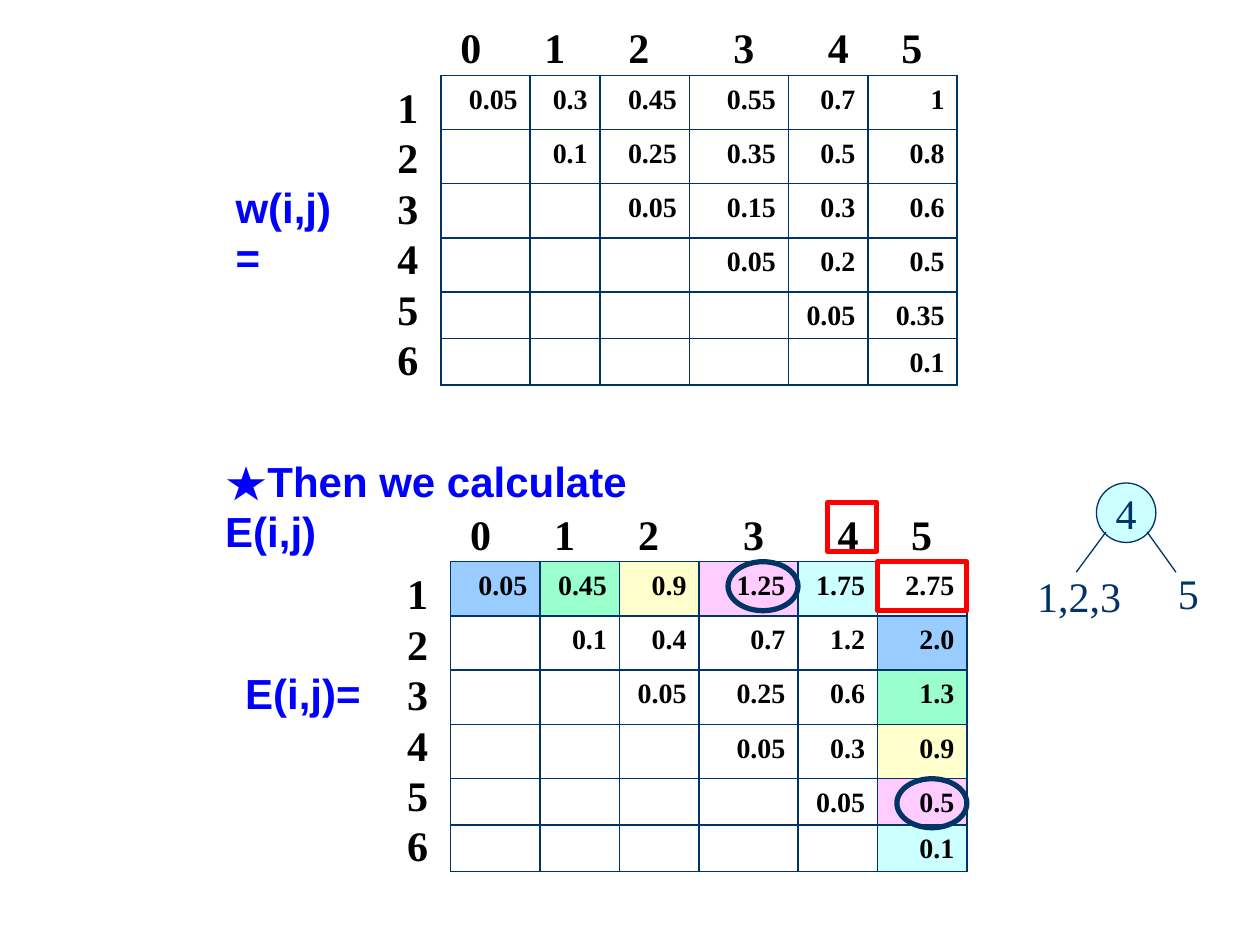
from dataclasses import dataclass

import lxml.etree
import pptx
import pptx.dml.color
import pptx.enum.shapes
import pptx.enum.text
import pptx.oxml.ns
import pptx.util

Pt = pptx.util.Pt
SHAPES = pptx.enum.shapes.MSO_SHAPE
ALIGN = pptx.enum.text.PP_ALIGN
ANCHOR = pptx.enum.text.MSO_ANCHOR
qn = pptx.oxml.ns.qn


@dataclass(frozen=True)
class Theme:
    navy: str = "003366"
    blue: str = "0000FF"
    black: str = "000000"
    red: str = "FF0000"
    white: str = "FFFFFF"
    pairs: tuple = ("99CCFF", "99FFCC", "FFFFCC", "FFCCFF", "CCFFFF")
    serif: str = "Times New Roman"
    sans: str = "Arial"
    text: int = 24
    cell: int = 16
    leading: float = 1.2


THEME = Theme()
INDEX_FORMAT = dict(name=THEME.serif, size=THEME.text, color=THEME.black, bold=True)
LABEL_FORMAT = dict(name=THEME.sans, size=THEME.text, color=THEME.blue, bold=True)
VALUE_FORMAT = dict(INDEX_FORMAT, size=THEME.cell)
TREE_FORMAT = dict(name=THEME.serif, size=THEME.text, color=THEME.navy, bold=False)

ROW_HEIGHTS = [31] * 4 + [26.5] * 2
HEADER_TABS = [48, 96, 156, 210, 252]
MARK_HEIGHT = 28

W_COLUMNS = [51, 40, 51, 56.5, 45.5, 51]
W_VALUES = [
    ["0.05", "0.3", "0.45", "0.55", "0.7", "1"],
    ["0.1", "0.25", "0.35", "0.5", "0.8"],
    ["0.05", "0.15", "0.3", "0.6"],
    ["0.05", "0.2", "0.5"],
    ["0.05", "0.35"],
    ["0.1"],
]
E_COLUMNS = [51, 45.5, 45.5, 56.5, 45.5, 51]
E_VALUES = [
    ["0.05", "0.45", "0.9", "1.25", "1.75", "2.75"],
    ["0.1", "0.4", "0.7", "1.2", "2.0"],
    ["0.05", "0.25", "0.6", "1.3"],
    ["0.05", "0.3", "0.9"],
    ["0.05", "0.5"],
    ["0.1"],
]


def rgb(value):
    return pptx.dml.color.RGBColor.from_string(value)


def add_run(paragraph, words, style):
    run = paragraph.add_run()
    run.text = words
    run.font.color.rgb = rgb(style["color"])
    for name, value in dict(name=style["name"], size=Pt(style["size"]),
                            bold=style["bold"]).items():
        setattr(run.font, name, value)
    paragraph.line_spacing = Pt(style["size"] * THEME.leading)


def add_label(slide, lines, left, top, width, height, style):
    frame = slide.shapes.add_textbox(Pt(left), Pt(top), Pt(width), Pt(height)).text_frame
    frame.word_wrap = False
    for number, words in enumerate(lines):
        paragraph = frame.add_paragraph() if number else frame.paragraphs[0]
        add_run(paragraph, words, style)
    return frame


def add_outline(slide, kind, left, top, width, height, color, weight=3):
    outline = slide.shapes.add_shape(kind, Pt(left), Pt(top), Pt(width), Pt(height))
    outline.shadow.inherit = False
    outline.fill.background()
    outline.line.color.rgb = rgb(color)
    outline.line.width = Pt(weight)
    return outline


def draw_borders(cell):
    properties = cell._tc.get_or_add_tcPr()
    for position, side in enumerate(("lnL", "lnR", "lnT", "lnB")):
        border = lxml.etree.Element(qn("a:" + side), w=str(Pt(1)))
        fill = lxml.etree.SubElement(border, qn("a:solidFill"))
        lxml.etree.SubElement(fill, qn("a:srgbClr"), val=THEME.navy)
        properties.insert(position, border)


def add_matrix(slide, left, top, name, columns, values, fills):
    """Place an upper triangular matrix, its indices and its name around its grid."""
    add_label(slide, [name], left - 124.5, top + 57, 82, 36, LABEL_FORMAT)
    size = len(values)
    grid = slide.shapes.add_table(size, size, Pt(left), Pt(top),
                                  Pt(sum(columns)), Pt(sum(ROW_HEIGHTS))).table
    grid.first_row = grid.horz_banding = False
    for column, width in zip(grid.columns, columns):
        column.width = Pt(width)
    for i, height in enumerate(ROW_HEIGHTS):
        grid.rows[i].height = Pt(height)
        for j in range(size):
            cell = grid.cell(i, j)
            cell.fill.solid()
            cell.fill.fore_color.rgb = rgb(fills.get((i, j), THEME.white))
            draw_borders(cell)
            paragraph = cell.text_frame.paragraphs[0]
            if j >= i:
                paragraph.alignment = ALIGN.RIGHT
                add_run(paragraph, values[i][j - i], VALUE_FORMAT)
            else:
                lxml.etree.SubElement(paragraph._p, qn("a:endParaRPr"),
                                      sz=str(THEME.cell * 100))

    add_label(slide, [str(i + 1) for i in range(size)],
              left - 32, top, 27, 180, INDEX_FORMAT)
    header = add_label(slide, ["\t".join(str(j) for j in range(size))],
                       left + 4, top - 34, 279, 36, INDEX_FORMAT)
    tabs = lxml.etree.SubElement(header.paragraphs[0]._p.get_or_add_pPr(), qn("a:tabLst"))
    for stop in HEADER_TABS:
        lxml.etree.SubElement(tabs, qn("a:tab"), pos=str(Pt(stop)), algn="l")


def add_marks(slide, left, top, columns):
    """Mark the best cost, its root column and the two subtree costs."""
    for kind, i, j, width, color in (
        (SHAPES.RECTANGLE, 0, 5, columns[5], THEME.red),
        (SHAPES.OVAL, 4, 5, 40, THEME.navy),
        (SHAPES.OVAL, 0, 3, 40, THEME.navy),
    ):
        add_outline(slide, kind, left + sum(columns[:j + 1]) - width,
                    top + sum(ROW_HEIGHTS[:i]), width, MARK_HEIGHT, color)
    add_outline(slide, SHAPES.RECTANGLE, left + 215.5, top - 34,
                MARK_HEIGHT, MARK_HEIGHT, THEME.red)


def add_tree(slide, left, top):
    root = add_outline(slide, SHAPES.OVAL, left + 41, top, 34, 34, THEME.navy, 0.75)
    root.fill.solid()
    root.fill.fore_color.rgb = rgb(THEME.pairs[-1])
    root.text_frame.word_wrap = False
    root.text_frame.vertical_anchor = ANCHOR.MIDDLE
    paragraph = root.text_frame.paragraphs[0]
    paragraph.alignment = ALIGN.CENTER
    add_run(paragraph, "4", TREE_FORMAT)

    for start, end in ((70, 86.5), (46.5, 29.5)):
        branch = slide.shapes.add_connector(
            pptx.enum.shapes.MSO_CONNECTOR.STRAIGHT,
            Pt(left + start), Pt(top + 28), Pt(left + end), Pt(top + 51))
        branch.line.color.rgb = rgb(THEME.navy)
        branch.line.width = Pt(0.75)
        lxml.etree.SubElement(branch._element.spPr, qn("a:effectLst"))
    add_label(slide, ["5"], left + 80.5, top + 45, 27, 36, TREE_FORMAT)
    add_label(slide, ["1,2,3"], left, top + 46.5, 63, 36, TREE_FORMAT)


def add_heading(slide, left, top, width, height):
    heading = slide.shapes.title
    for name, value in dict(left=left, top=top, width=width, height=height).items():
        setattr(heading, name, Pt(value))
    frame = heading.text_frame
    for name, value in dict(word_wrap=True, vertical_anchor=ANCHOR.TOP,
                            auto_size=pptx.enum.text.MSO_AUTO_SIZE.NONE).items():
        setattr(frame, name, value)
    paragraph = frame.paragraphs[0]
    paragraph.alignment = ALIGN.LEFT
    add_run(paragraph, "★", dict(LABEL_FORMAT, name=THEME.serif))
    add_run(paragraph, "Then we calculate E(i,j)", LABEL_FORMAT)


def main():
    deck = pptx.Presentation()
    deck.slide_width, deck.slide_height = Pt(720), Pt(540)
    slide = deck.slides.add_slide(deck.slide_layouts[5])

    pair_fills = {}
    for k, color in enumerate(THEME.pairs):
        pair_fills[0, k] = pair_fills[k + 1, 5] = color

    add_heading(slide, 121.5, 256.5, 300, 36)
    add_matrix(slide, 257.5, 321, "E(i,j)=", E_COLUMNS, E_VALUES, pair_fills)
    add_matrix(slide, 252, 43, "w(i,j)=", W_COLUMNS, W_VALUES, {})
    add_marks(slide, 257.5, 321, E_COLUMNS)
    add_tree(slide, 585.5, 276)
    deck.save("out.pptx")


if __name__ == "__main__":
    main()
